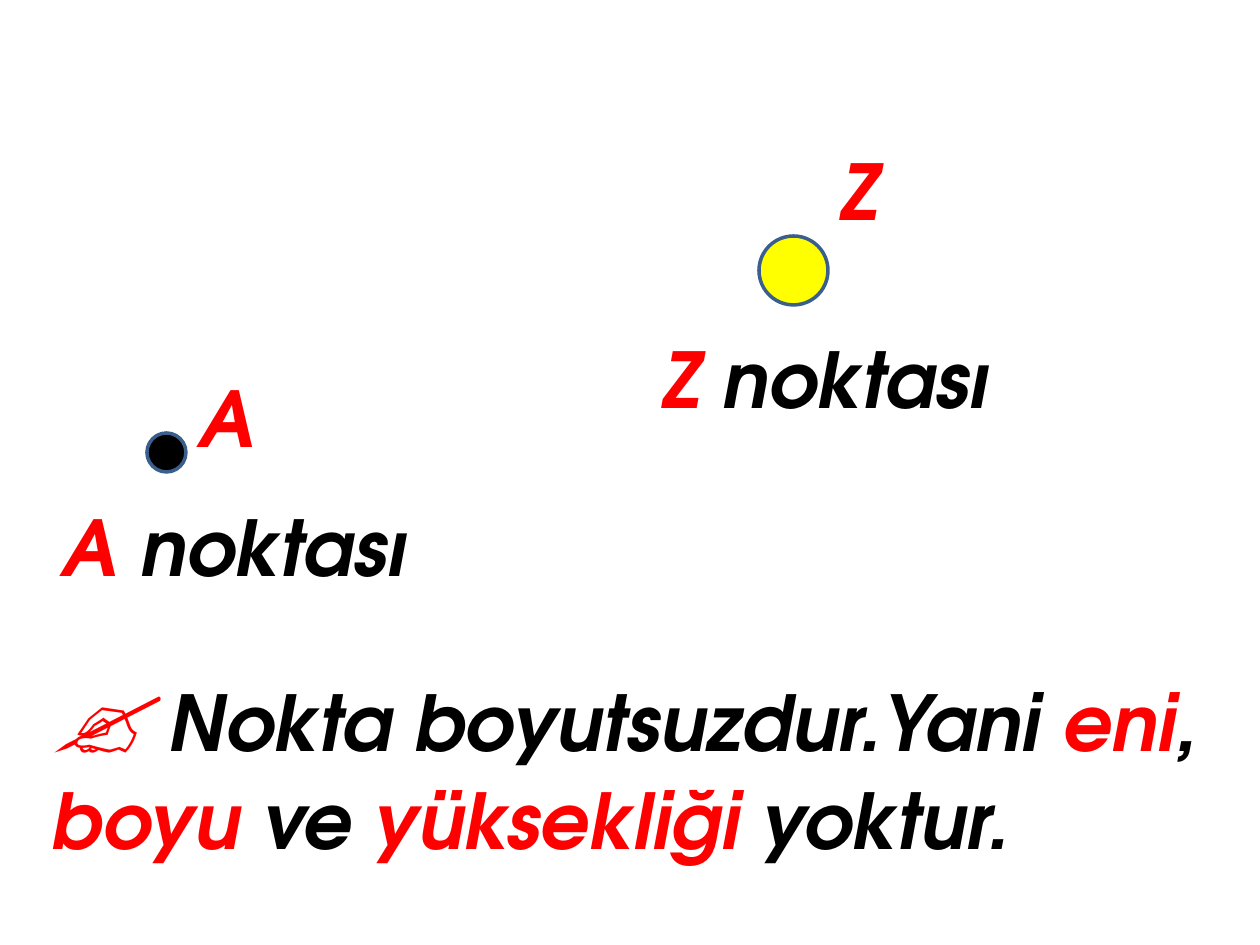
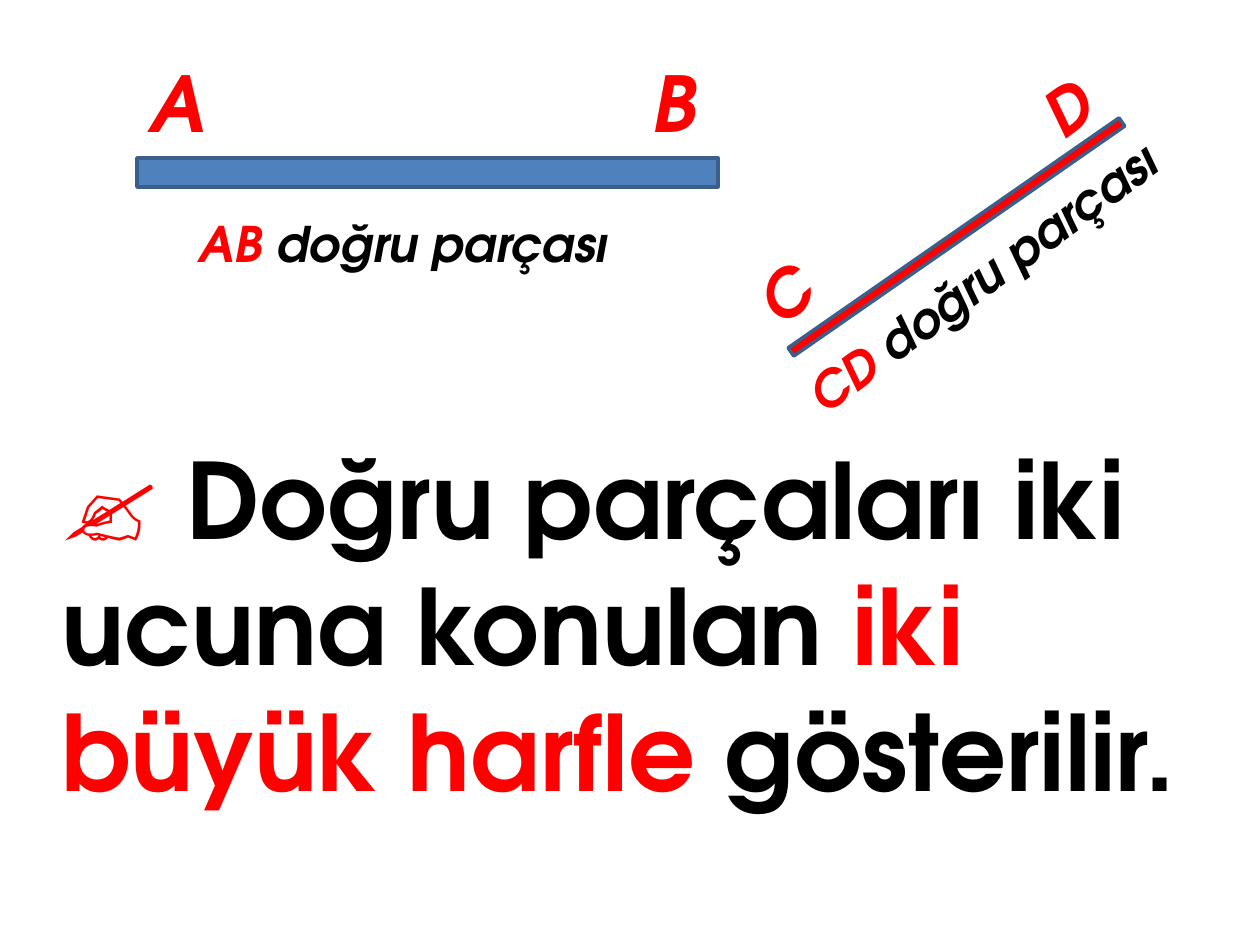
from pptx import Presentation
from pptx.dml.color import RGBColor
from pptx.enum.shapes import MSO_SHAPE
from pptx.enum.text import MSO_AUTO_SIZE
from pptx.util import Pt

PX = 914400 / 126
FONT = "TeX Gyre Adventor"
COLORS = {
    "key": "FF0000",
    "text": "000000",
    "outline": "3A5F8C",
    "bar": "4F81BD",
    "yellow": "FFFF00",
}


def emu(*lengths):
    return [round(length * PX) for length in lengths]


def color(name):
    return RGBColor.from_string(COLORS[name])


def inside(box, part):
    left, top, width, height = part
    return box[0] + left, box[1] + top, width, height


def add_text(slide, place, paragraphs, size, italic=True, wrap=False, rotation=0):
    textbox = slide.shapes.add_textbox(*emu(*place))
    textbox.rotation = rotation
    frame = textbox.text_frame
    frame.word_wrap = wrap
    frame.auto_size = MSO_AUTO_SIZE.SHAPE_TO_FIT_TEXT
    for index, runs in enumerate(paragraphs):
        paragraph = frame.add_paragraph() if index else frame.paragraphs[0]
        for words, color_name, *own_size in runs:
            run = paragraph.add_run()
            run.text = words
            font = run.font
            font.name = FONT
            font.size = Pt(own_size[0] if own_size else size)
            font.bold = True
            font.italic = italic
            font.color.rgb = color(color_name)


def add_outlined(slide, preset, place, fill, rotation=0):
    outlined = slide.shapes.add_shape(preset, *emu(*place))
    outlined.shadow.inherit = False
    outlined.rotation = rotation
    outlined.fill.solid()
    outlined.fill.fore_color.rgb = color(fill)
    outlined.line.color.rgb = color("outline")
    outlined.line.width = Pt(2)


def add_point(slide, box, letter, dot, fill, letter_width, caption):
    left, top, diameter = dot
    add_outlined(slide, MSO_SHAPE.OVAL, inside(box, (left, top, diameter, diameter)), fill)
    letter_place = left + diameter, 0, letter_width, 106
    add_text(slide, inside(box, letter_place), [[(letter, "key")]], 44)
    add_text(slide, inside(box, caption), [[(letter, "key"), (" noktası", "text")]], 44)


def add_segment(slide, box, bar, fill, bar_turn, ends, end_size, caption, caption_turn):
    add_outlined(slide, MSO_SHAPE.RECTANGLE, inside(box, bar), fill, bar_turn)
    for letter, place, turn in ends:
        add_text(slide, inside(box, place), [[(letter, "key")]], end_size, rotation=turn)
    segment_name = "".join(letter for letter, _, _ in ends)
    add_text(slide, inside(box, caption),
             [[(segment_name, "key"), (" doğru parçası", "text")]],
             28, rotation=caption_turn)


def build_points(slide):
    add_point(slide, (49, 364), "A", (98, 69, 39), "text", 83, (0, 129, 373, 106))
    add_point(slide, (650, 137), "Z", (109, 99, 69), "yellow", 64, (0, 188, 355, 106))
    add_text(slide, (39, 640, 1191, 233), [
        [("✍", "key", 60), (" ", "key"), ("Nokta boyutsuzdur.Yani ", "text"),
         ("eni", "key"), (",", "text")],
        [("boyu", "key"), (" ve ", "text"), ("yüksekliği", "key"), (" yoktur.", "text")],
    ], 44, wrap=True)


def build_segments(slide):
    add_text(slide, (49, 428, 1182, 394), [
        [("✍ ", "key"), ("Doğru parçaları iki ucuna konulan", "text"), (" iki", "key")],
        [("büyük harfle ", "key"), ("gösterilir.", "text")],
    ], 60, italic=False, wrap=True)
    add_segment(slide, (137, 49), (0, 109, 581, 29), "bar", 0,
                [("A", (0, 0, 83, 106), 0), ("B", (503, 0, 71, 106), 0)], 44,
                (49, 158, 441, 72), 0)
    add_segment(slide, (748, 62), (7, 170, 403, 10), "key", 325.2,
                [("C", (0, 187, 76, 89), 319.7), ("D", (285, 0, 71, 89), 323.8)], 36,
                (13, 177, 449, 72), 323.9)


def main():
    presentation = Presentation()
    presentation.slide_width, presentation.slide_height = emu(1260, 945)
    blank = presentation.slide_layouts[6]
    for build in (build_points, build_segments):
        build(presentation.slides.add_slide(blank))
    presentation.save("out.pptx")


if __name__ == "__main__":
    main()
